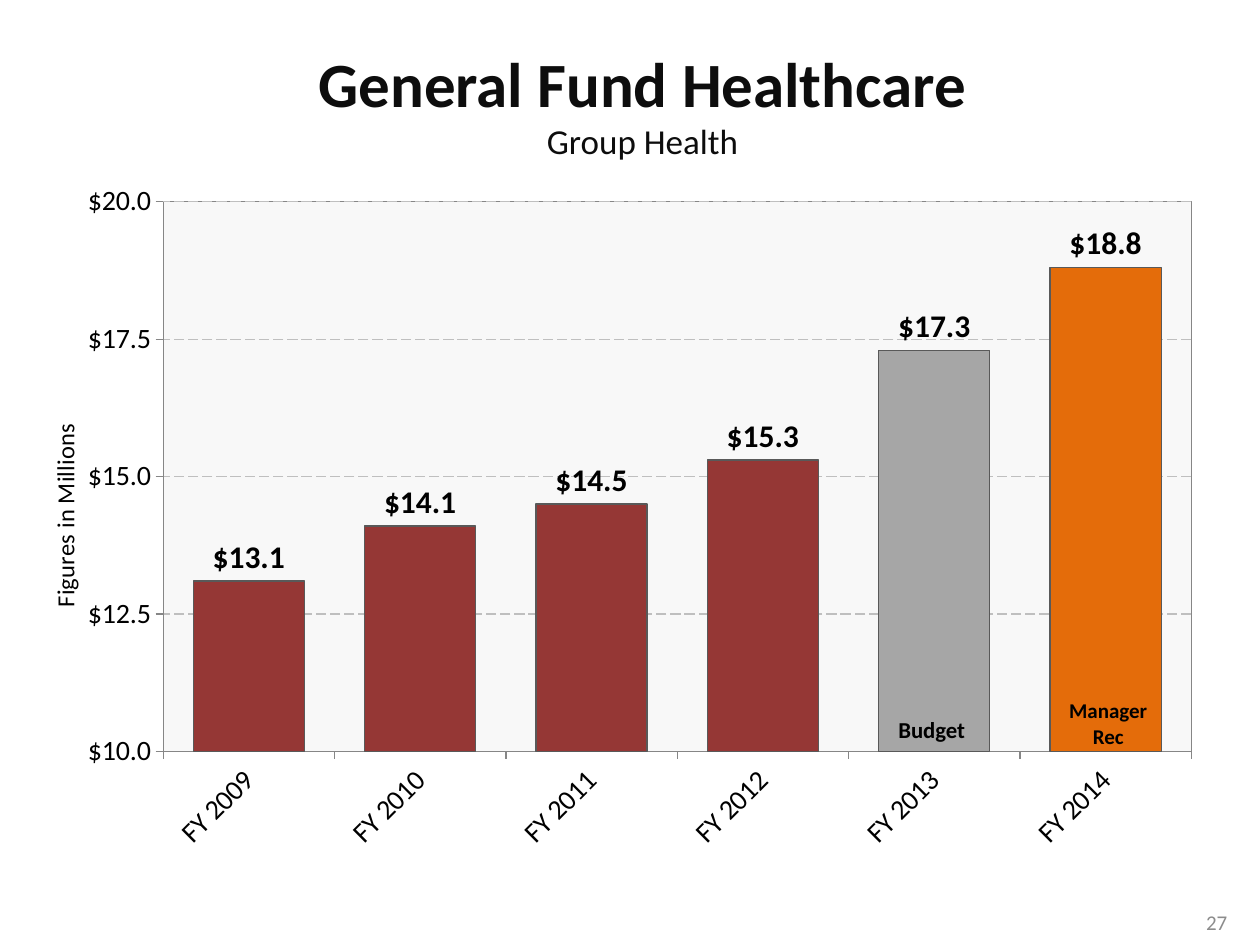
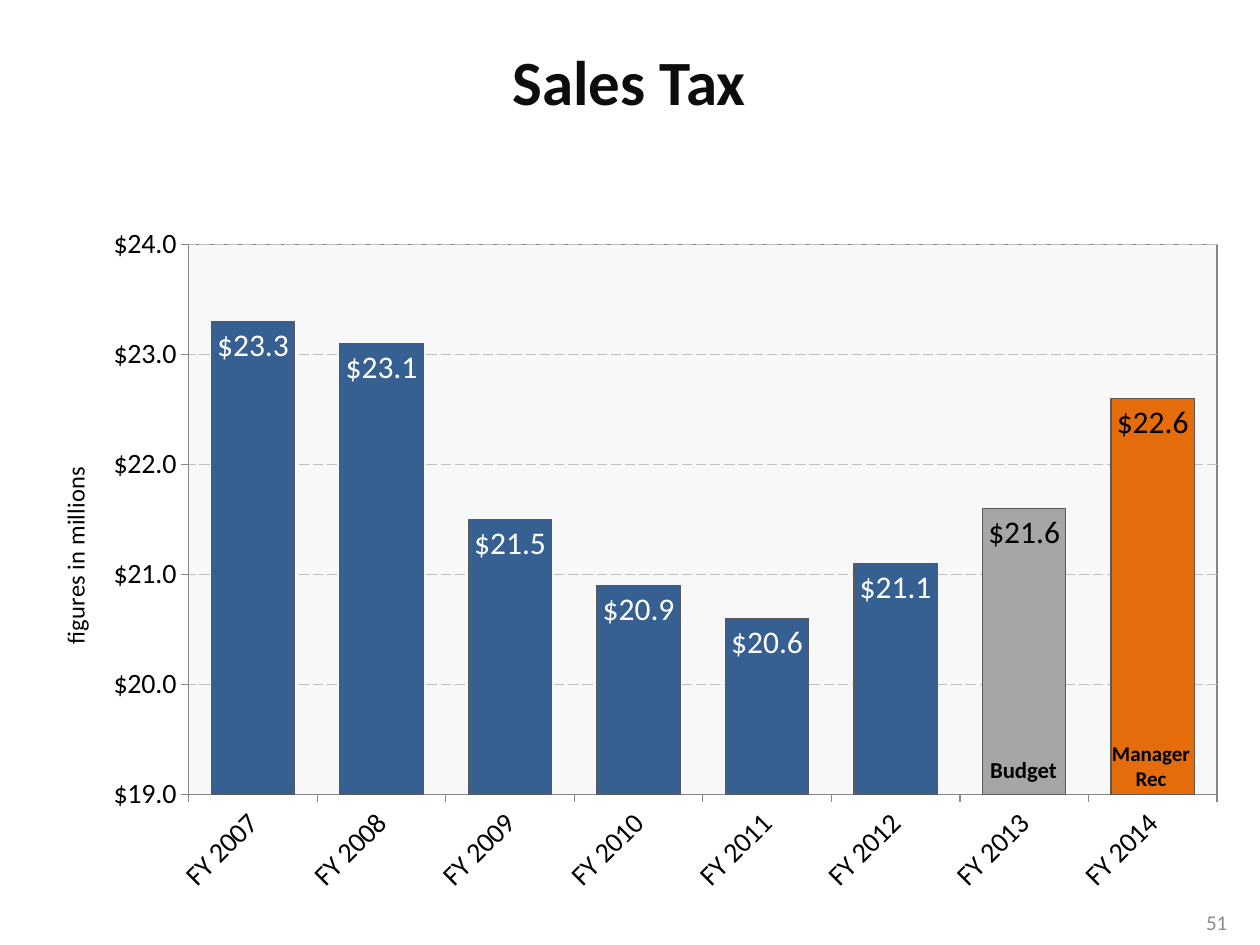
from pptx import Presentation
from pptx.chart.data import CategoryChartData
from pptx.dml.color import RGBColor
from pptx.enum.chart import XL_CHART_TYPE, XL_LABEL_POSITION, XL_TICK_MARK
from pptx.enum.dml import MSO_LINE
from pptx.enum.text import MSO_ANCHOR, MSO_AUTO_SIZE, PP_ALIGN
from pptx.oxml import parse_xml
from pptx.oxml.ns import nsdecls, qn
from pptx.util import Pt

PX = 9144  # 100 px to the inch
FONT = "Calibri"
MONEY = '"$"#,##0.0'

BLACK = RGBColor(0x00, 0x00, 0x00)
WHITE = RGBColor(0xFF, 0xFF, 0xFF)
INK = RGBColor(0x0D, 0x0D, 0x0D)
PAGE = RGBColor(0x8C, 0x8C, 0x8C)
AXIS = RGBColor(0x86, 0x86, 0x86)
GRID = RGBColor(0xBF, 0xBF, 0xBF)
EDGE = RGBColor(0x59, 0x59, 0x59)
PANEL = RGBColor(0xF8, 0xF8, 0xF8)
RED = RGBColor(0x95, 0x37, 0x35)
BLUE = RGBColor(0x37, 0x60, 0x92)
GREY = RGBColor(0xA6, 0xA6, 0xA6)
ORANGE = RGBColor(0xE4, 0x6C, 0x0A)

LEFT, CENTER, RIGHT = PP_ALIGN.LEFT, PP_ALIGN.CENTER, PP_ALIGN.RIGHT
TOP, MIDDLE = MSO_ANCHOR.TOP, MSO_ANCHOR.MIDDLE
ABOVE, INSIDE = XL_LABEL_POSITION.OUTSIDE_END, XL_LABEL_POSITION.INSIDE_END

SLIDES = [
    dict(title="General Fund Healthcare", sub="Group Health", page="27",
         head=(240, 30, 540, 104), chart=(25, 108), plot_x=0.11,
         unit="Figures in Millions", scale=(10, 20, 2.5), start=2009,
         values=(13.1, 14.1, 14.5, 15.3, 17.3, 18.8),
         color=RED, place=ABOVE, ink=BLACK, bold=True,
         budget=(706, 563, 67, 35), align=CENTER, rec=(842, 549, 75, 40)),
    dict(title="Sales Tax", sub=None, page="51",
         head=(396, 29, 207, 71), chart=(33, 142), plot_x=0.123,
         unit="figures in millions", scale=(19, 24, 1), start=2007,
         values=(23.3, 23.1, 21.5, 20.9, 20.6, 21.1, 21.6, 22.6),
         color=BLUE, place=INSIDE, ink=WHITE, bold=False,
         budget=(776, 595, 100, 35), align=LEFT, rec=(876, 583, 75, 40)),
]


def write(shape, text, size, color=BLACK, bold=False, align=CENTER,
          anchor=TOP, wrap=False, box=None):
    """Add one paragraph to the shape, moving the shape to box if given."""
    if box:
        shape.left, shape.top, shape.width, shape.height = [n * PX for n in box]
    frame = shape.text_frame
    frame.auto_size = MSO_AUTO_SIZE.NONE
    frame.word_wrap = wrap
    frame.vertical_anchor = anchor
    para = frame.add_paragraph() if frame.text else frame.paragraphs[0]
    para.text = text
    para.alignment = align
    font = para.runs[0].font
    font.name, font.size, font.bold = FONT, Pt(size), bold
    font.color.rgb = color


def lay(node, inner=False, **parts):
    """Give a chart element a manual layout in fractions of the chart."""
    old = node.find(qn("c:layout"))
    spot = 0 if old is None else node.index(old)
    if old is not None:
        node.remove(old)
    rows = '<c:layoutTarget val="inner"/>' if inner else ""
    rows += '<c:xMode val="edge"/><c:yMode val="edge"/>'
    rows += "".join(f'<c:{key} val="{val}"/>' for key, val in parts.items())
    node.insert(spot, parse_xml(
        f'<c:layout {nsdecls("c")}><c:manualLayout>{rows}'
        "</c:manualLayout></c:layout>"))


prs = Presentation()
prs.slide_width, prs.slide_height = 1000 * PX, 750 * PX

for item in SLIDES:
    slide = prs.slides.add_slide(prs.slide_layouts[5])
    title = slide.shapes.title
    write(title, item["title"], 36, INK, bold=True, box=item["head"])
    if item["sub"]:
        write(title, item["sub"], 20, INK)

    data = CategoryChartData(number_format=MONEY)
    data.categories = [f"FY {item['start'] + i}"
                       for i in range(len(item["values"]))]
    data.add_series("Series 1", item["values"])
    x, y = item["chart"]
    chart = slide.shapes.add_chart(
        XL_CHART_TYPE.COLUMN_CLUSTERED,
        x * PX, y * PX, 950 * PX, 600 * PX, data).chart
    chart.has_title = chart.has_legend = False
    chart.font.name, chart.font.size = FONT, Pt(18)
    chart.font.color.rgb = BLACK

    area = chart._chartSpace.chart.plotArea
    lay(area, inner=True, x=item["plot_x"], y=0.087, w=0.859, h=0.727)
    area.append(parse_xml(
        f'<c:spPr {nsdecls("c", "a")}>'
        f'<a:solidFill><a:srgbClr val="{PANEL}"/></a:solidFill>'
        f'<a:ln w="9525"><a:solidFill><a:srgbClr val="{AXIS}"/></a:solidFill>'
        "</a:ln></c:spPr>"))

    cats, vals = chart.category_axis, chart.value_axis
    for axis in (cats, vals):
        axis.major_tick_mark = XL_TICK_MARK.OUTSIDE
        axis.tick_labels.font.size = Pt(16)
        axis.format.line.color.rgb = AXIS
        axis.format.line.width = Pt(0.75)
    cats._element.find(qn("c:txPr")).find(qn("a:bodyPr")).set("rot", "-2700000")
    vals.minimum_scale, vals.maximum_scale, vals.major_unit = item["scale"]
    vals.tick_labels.number_format = MONEY
    vals.tick_labels.number_format_is_linked = False
    grid = vals.major_gridlines.format.line
    grid.color.rgb, grid.width = GRID, Pt(0.75)
    grid.dash_style = MSO_LINE.LONG_DASH

    unit = vals.axis_title
    unit.text_frame.text = item["unit"]
    font = unit.text_frame.paragraphs[0].runs[0].font
    font.name, font.size, font.bold = FONT, Pt(14), False
    font.color.rgb = BLACK
    unit.text_frame._txBody.bodyPr.set("rot", "-5400000")
    unit.text_frame._txBody.bodyPr.set("vert", "horz")
    lay(unit._element, x=0.01, y=0.375)

    plot = chart.plots[0]
    plot.gap_width, plot.vary_by_categories = 54, False
    bars = plot.series[0]
    last = len(item["values"]) - 1
    points = {last - 1: GREY, last: ORANGE}
    spots = [(bars, item["color"])]
    spots += [(bars.points[i], color) for i, color in points.items()]
    for spot, color in spots:
        spot.format.fill.solid()
        spot.format.fill.fore_color.rgb = color
        spot.format.line.color.rgb = EDGE
        spot.format.line.width = Pt(0.75)

    tags = bars.data_labels
    tags.show_value = True
    tags.number_format, tags.number_format_is_linked = MONEY, False
    styles = [(tags, item["ink"])]
    styles += [(bars.points[i].data_label, BLACK) for i in points]
    for tag, color in styles:
        tag.position = item["place"]
        tag.font.name, tag.font.size = FONT, Pt(18)
        tag.font.bold = item["bold"]
        tag.font.color.rgb = color
    for node in tags._element.findall(qn("c:dLbl")):
        node.insert(1, parse_xml(
            f'<c:numFmt {nsdecls("c")} formatCode="&quot;$&quot;#,##0.0" '
            'sourceLinked="0"/>'))

    budget, rec, page = [slide.shapes.add_textbox(0, 0, 0, 0) for _ in range(3)]
    write(budget, "Budget", 13, bold=True, align=item["align"],
          box=item["budget"])
    write(rec, "Manager", 12, bold=True, box=item["rec"])
    write(rec, "Rec", 12, bold=True)
    write(page, item["page"], 12, PAGE, align=RIGHT, anchor=MIDDLE, wrap=True,
          box=(751, 712, 233, 40))

prs.save("out.pptx")
